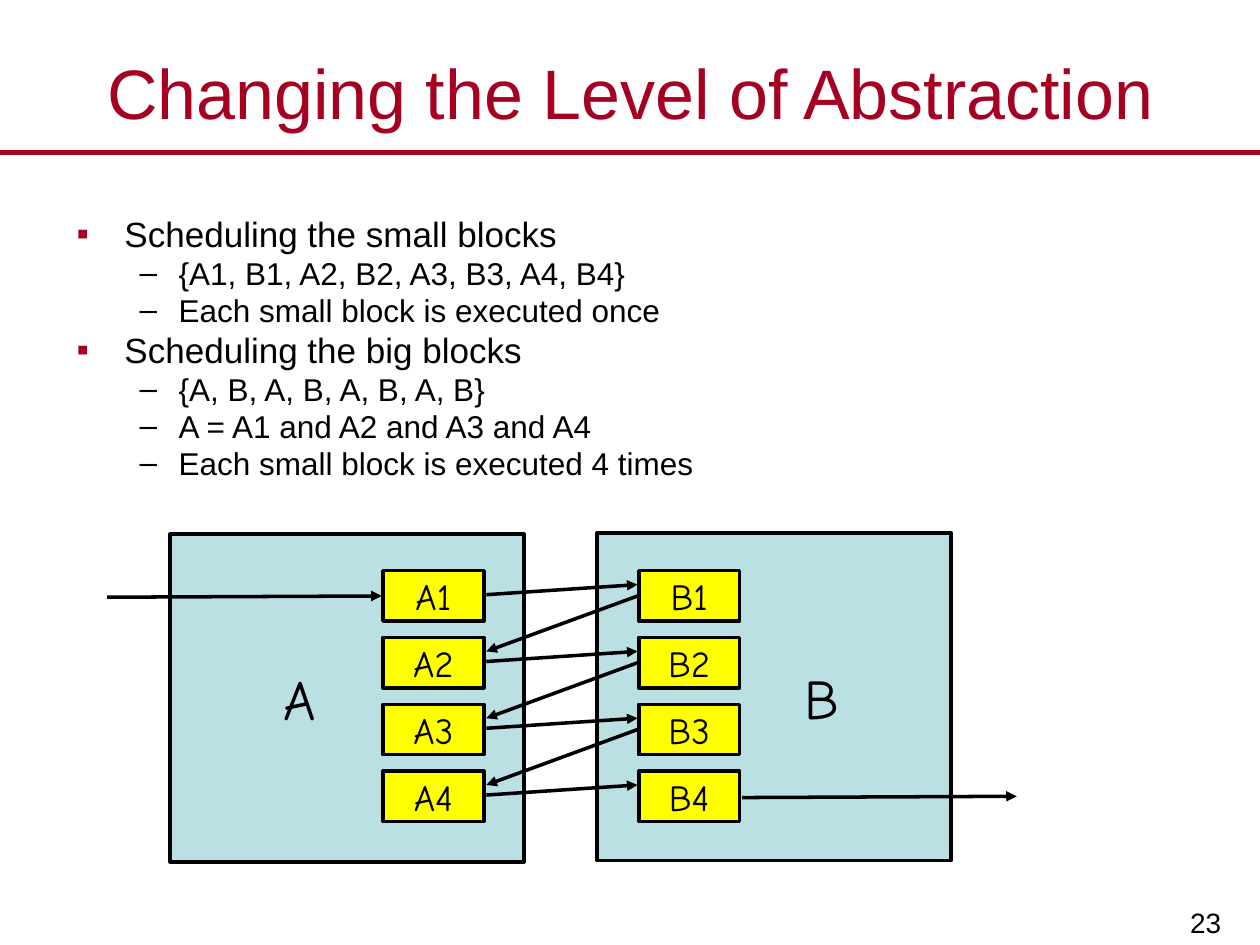
from lxml.etree import SubElement
from pptx import Presentation
from pptx.dml.color import RGBColor
from pptx.enum.shapes import MSO_CONNECTOR as Connector, MSO_SHAPE as Shape
from pptx.enum.text import MSO_ANCHOR as Anchor, PP_ALIGN as Align
from pptx.oxml.ns import qn
from pptx.util import Inches, Pt

COLORS = {"red": "A50021", "black": "000000", "blue": "BBE0E3", "yellow": "FFFF00"}
BODY = [
    (0, "Scheduling the small blocks"),
    (1, "{A1, B1, A2, B2, A3, B3, A4, B4}"),
    (1, "Each small block is executed once"),
    (0, "Scheduling the big blocks"),
    (1, "{A, B, A, B, A, B, A, B}"),
    (1, "A = A1 and A2 and A3 and A4"),
    (1, "Each small block is executed 4 times"),
]
LEVELS = [
    {"size": 20, "margin": 0.38, "hang": 0.38, "bullet": "▪", "bullet_color": "red", "before": 4.5},
    {"size": 18, "margin": 0.81, "hang": 0.31, "bullet": "–", "bullet_color": "black", "before": 4},
]
ROW_TOP, ROW_STEP, ROW_COUNT = 4.53, 0.53, 4
BLOCK_WIDTH, BLOCK_HEIGHT = 0.8, 0.4
A_LEFT, B_LEFT = 3.04, 5.07


def rgb(name):
    return RGBColor.from_string(COLORS[name])


def write(paragraph, text, size=18, color="black", font="Arial", align=Align.LEFT):
    paragraph.alignment = align
    run = paragraph.add_run()
    run.text = text
    run.font.size = Pt(size)
    run.font.name = font
    run.font.color.rgb = rgb(color)


def add_text_box(slide, left, top, width, height, anchor=Anchor.TOP):
    frame = slide.shapes.add_textbox(*map(Inches, (left, top, width, height))).text_frame
    frame.word_wrap = True
    frame.vertical_anchor = anchor
    return frame


def add_block(slide, text, left, top, width, height, fill, size, inset_left=0.09, inset_right=0.09):
    shape = slide.shapes.add_shape(Shape.RECTANGLE, *map(Inches, (left, top, width, height)))
    shape.shadow.inherit = False
    shape.fill.solid()
    shape.fill.fore_color.rgb = rgb(fill)
    shape.line.color.rgb = rgb("black")
    shape.line.width = Pt(2)
    frame = shape.text_frame
    frame.vertical_anchor = Anchor.MIDDLE
    frame.margin_left, frame.margin_right = Inches(inset_left), Inches(inset_right)
    frame.margin_top = frame.margin_bottom = Inches(0.04)
    write(frame.paragraphs[0], text, size=size, font="Comic Neue", align=Align.CENTER)


def add_line(slide, start, end, color="black", width=2, arrow=True):
    line = slide.shapes.add_connector(Connector.STRAIGHT, *map(Inches, (*start, *end)))
    line.line.color.rgb = rgb(color)
    line.line.width = Pt(width)
    if arrow:
        SubElement(line.line._get_or_add_ln(), qn("a:tailEnd"), type="triangle")
    SubElement(line._element.spPr, qn("a:effectLst"))


def add_bullet(paragraph, level, text):
    style = LEVELS[level]
    paragraph.level = level
    paragraph.line_spacing = 0.8
    paragraph.space_before = Pt(style["before"])
    write(paragraph, text, size=style["size"])
    properties = paragraph._p.get_or_add_pPr()
    properties.set("marL", str(Inches(style["margin"])))
    properties.set("indent", str(-Inches(style["hang"])))
    bullet_color = SubElement(properties, qn("a:buClr"))
    SubElement(bullet_color, qn("a:srgbClr"), val=COLORS[style["bullet_color"]])
    SubElement(properties, qn("a:buFont"), typeface="Arial")
    SubElement(properties, qn("a:buChar"), char=style["bullet"])


def add_body(slide):
    frame = add_text_box(slide, 0.51, 1.7, 9, 2.49)
    for index, (level, text) in enumerate(BODY):
        paragraph = frame.add_paragraph() if index else frame.paragraphs[0]
        add_bullet(paragraph, level, text)


def add_diagram(slide):
    add_block(slide, "A", 1.35, 4.24, 2.81, 2.6, "blue", 32, inset_right=0.84)
    add_block(slide, "B", 4.74, 4.23, 2.81, 2.6, "blue", 32, inset_left=0.84)
    rows = [ROW_TOP + ROW_STEP * index for index in range(ROW_COUNT)]
    for letter, left in (("A", A_LEFT), ("B", B_LEFT)):
        for number, top in enumerate(rows, 1):
            add_block(slide, f"{letter}{number}", left, top, BLOCK_WIDTH, BLOCK_HEIGHT, "yellow", 21)

    a_right, b_right = A_LEFT + BLOCK_WIDTH + 0.02, B_LEFT + BLOCK_WIDTH + 0.02
    b_edge = B_LEFT - 0.01
    add_line(slide, (0.85, 4.74), (A_LEFT - 0.01, 4.73))
    for top in rows:
        add_line(slide, (a_right, top + 0.19), (b_edge, top + 0.11))
    for top, next_top in zip(rows, rows[1:]):
        add_line(slide, (b_edge, top + 0.2), (a_right, next_top + 0.11))
    add_line(slide, (b_right, 6.33), (8.07, 6.32))


def main():
    presentation = Presentation()
    presentation.slide_width, presentation.slide_height = Inches(10), Inches(7.5)
    slide = presentation.slides.add_slide(presentation.slide_layouts[6])
    add_line(slide, (0, 1.21), (10, 1.21), color="red", width=3, arrow=False)
    number = add_text_box(slide, 7.8, 6.93, 1.99, 0.57, anchor=Anchor.BOTTOM)
    write(number.paragraphs[0], "23", size=16, align=Align.RIGHT)
    title = add_text_box(slide, 0.5, 0.3, 9, 0.86, anchor=Anchor.MIDDLE)
    write(title.paragraphs[0], "Changing the Level of Abstraction", size=40, color="red", align=Align.CENTER)
    add_body(slide)
    add_diagram(slide)
    presentation.save("out.pptx")


if __name__ == "__main__":
    main()
